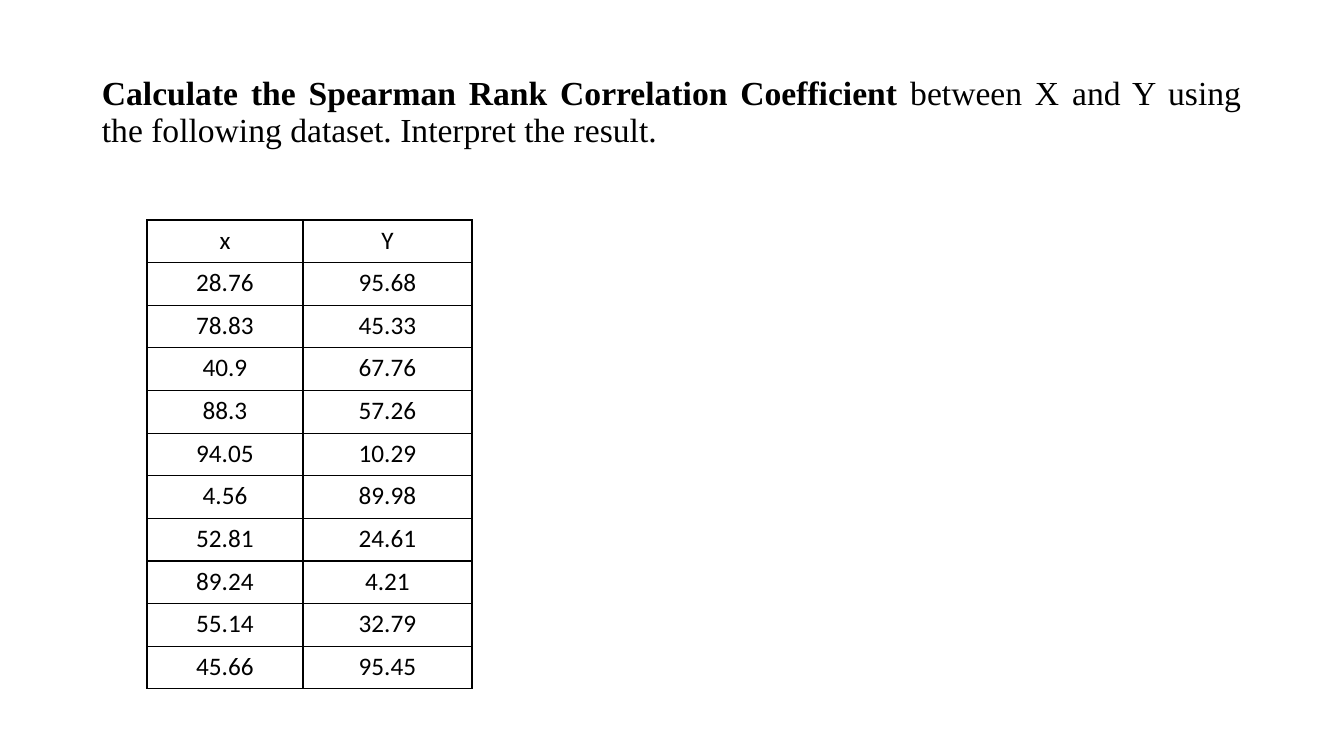
"""Builds a slide with a Spearman rank correlation exercise and its dataset."""
from lxml.etree import SubElement
from pptx import Presentation
from pptx.dml.color import RGBColor
from pptx.enum.text import MSO_ANCHOR, PP_ALIGN
from pptx.oxml.ns import qn
from pptx.util import Pt

TASK_RUNS = [
    ("Calculate the Spearman Rank Correlation Coefficient", True),
    (" between X and Y using the following dataset. Interpret the result.", False),
]
DATASET = [
    ("x", "Y"),
    ("28.76", "95.68"),
    ("78.83", "45.33"),
    ("40.9", "67.76"),
    ("88.3", "57.26"),
    ("94.05", "10.29"),
    ("4.56", "89.98"),
    ("52.81", "24.61"),
    ("89.24", "4.21"),
    ("55.14", "32.79"),
    ("45.66", "95.45"),
]

BLACK = RGBColor(0, 0, 0)
SLIDE_SIZE = (1344, 756)
TASK_BOX = (92, 40, 1159, 146)
TABLE_ORIGIN = (147, 220)
TABLE_HEIGHT = 469
COLUMN_WIDTHS = (156, 169)


def px(length):
    """Turns pixels into EMU."""
    return round(length * 914400 / 100.8)


def set_font(font, name, size):
    """Sets the typeface, size and black colour."""
    font.name = name
    font.size = Pt(size)
    font.color.rgb = BLACK


def add_borders(cell):
    """Draws a thin black line on each side of a cell."""
    properties = cell._tc.get_or_add_tcPr()
    for position, side in enumerate(("a:lnL", "a:lnR", "a:lnT", "a:lnB")):
        line = SubElement(properties, qn(side), w=str(Pt(1)))
        fill = SubElement(line, qn("a:solidFill"))
        SubElement(fill, qn("a:srgbClr"), val=str(BLACK))
        properties.insert(position, line)


def add_task(slide):
    """Adds the justified task statement."""
    frame = slide.shapes.add_textbox(*map(px, TASK_BOX)).text_frame
    frame.word_wrap = True
    frame.vertical_anchor = MSO_ANCHOR.MIDDLE
    paragraph = frame.paragraphs[0]
    paragraph.alignment = PP_ALIGN.JUSTIFY
    paragraph.line_spacing = 0.9
    set_font(paragraph.font, "Times New Roman", 24)
    for text, bold in TASK_RUNS:
        run = paragraph.add_run()
        run.text = text
        set_font(run.font, "Times New Roman", 24)
        run.font.bold = bold


def add_dataset(slide):
    """Adds the bordered table of X and Y values."""
    size = (sum(COLUMN_WIDTHS), TABLE_HEIGHT)
    table = slide.shapes.add_table(
        len(DATASET), len(COLUMN_WIDTHS), *map(px, TABLE_ORIGIN + size)
    ).table
    table.first_row = False
    table.horz_banding = False
    for column, width in zip(table.columns, COLUMN_WIDTHS):
        column.width = px(width)
    for row, values in zip(table.rows, DATASET):
        for cell, value in zip(row.cells, values):
            cell.text = value
            cell.fill.background()
            add_borders(cell)
            paragraph = cell.text_frame.paragraphs[0]
            paragraph.alignment = PP_ALIGN.CENTER
            set_font(paragraph.font, "Calibri", 18)


def main():
    """Builds and saves the presentation."""
    presentation = Presentation()
    presentation.slide_width, presentation.slide_height = map(px, SLIDE_SIZE)
    slide = presentation.slides.add_slide(presentation.slide_layouts[6])
    add_task(slide)
    add_dataset(slide)
    presentation.save("out.pptx")


if __name__ == "__main__":
    main()
